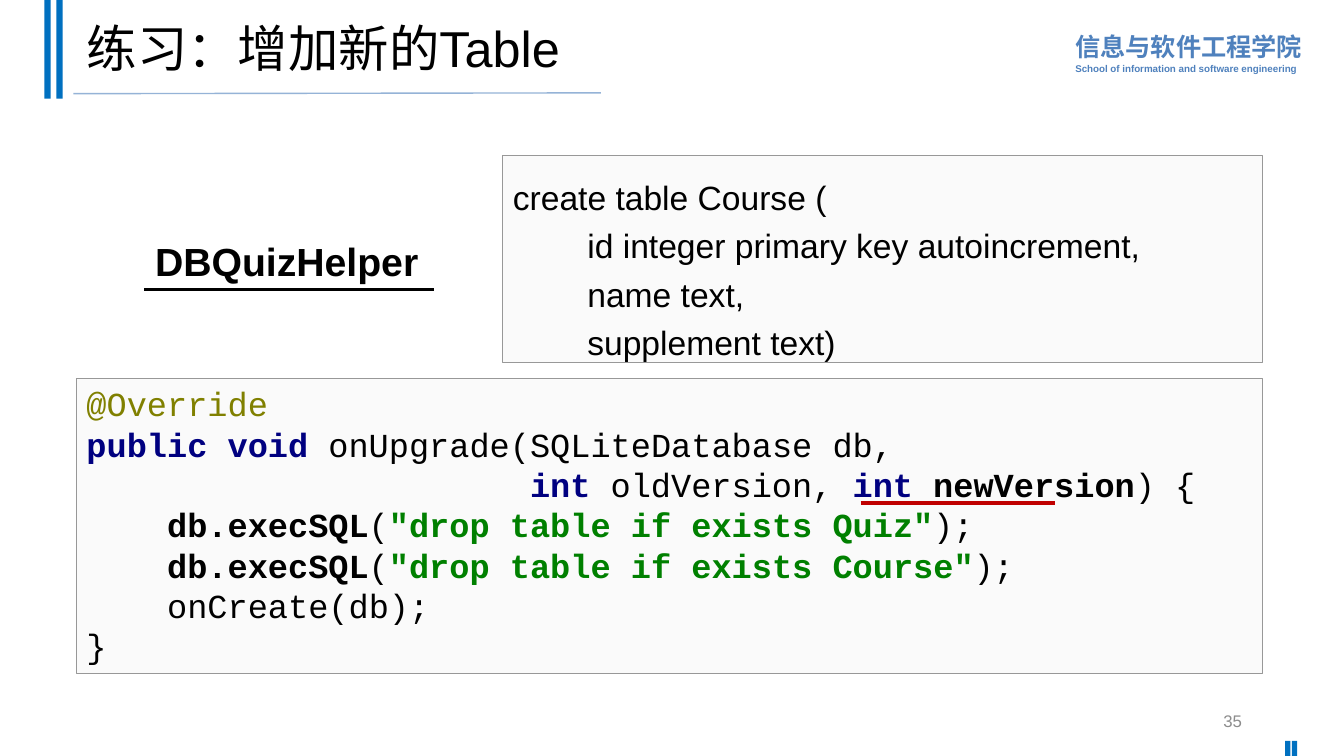
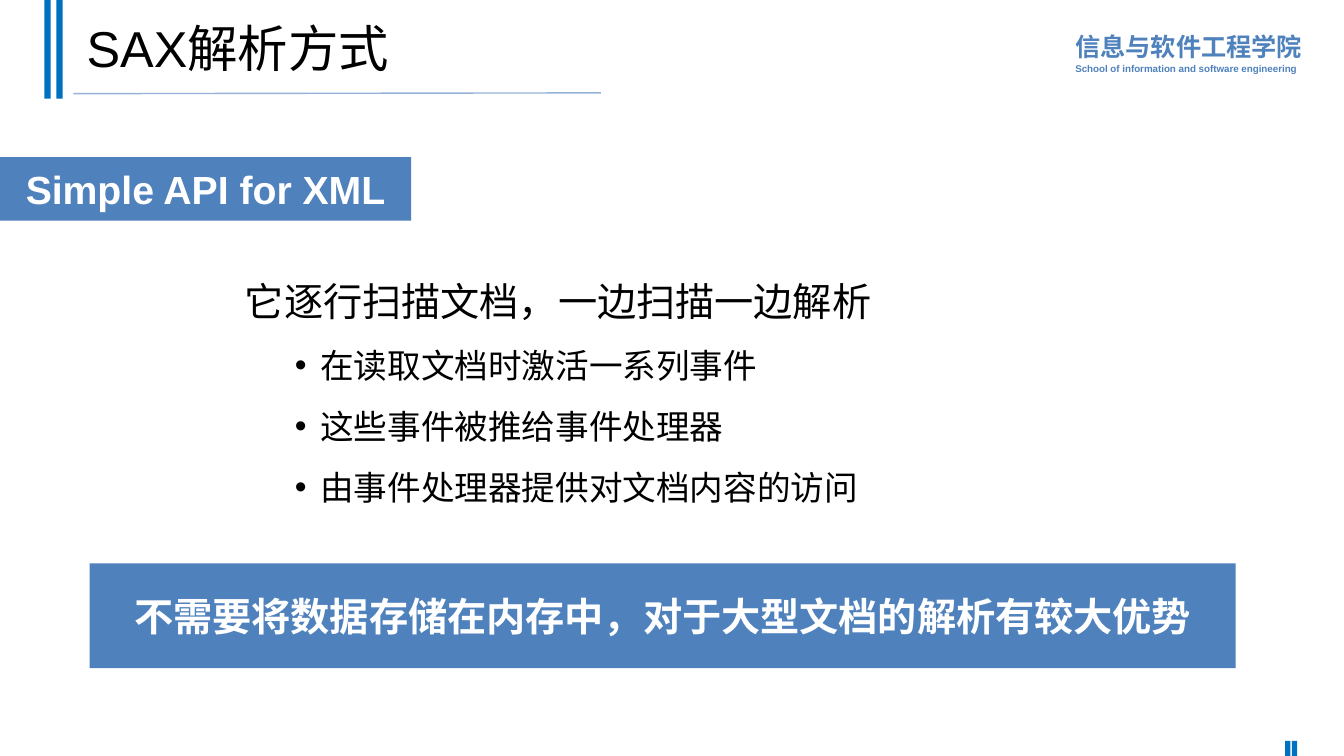
"""Build two lecture slides on database upgrades and SAX parsing."""
from typing import NamedTuple

from lxml.etree import SubElement
from pptx import Presentation
from pptx.dml.color import RGBColor as Rgb
from pptx.enum.shapes import MSO_CONNECTOR as Link, MSO_SHAPE as Form
from pptx.enum.text import MSO_ANCHOR as Anchor, MSO_AUTO_SIZE as Fit, PP_ALIGN as Align
from pptx.oxml.ns import qn
from pptx.util import Cm, Pt

BLUE, BAR, RULE = "4F81BD", "0070C0", "95B3D7"
PAPER, EDGE, GREY, RED = "FAFAFA", "989898", "8C8C8C", "C00000"
BLACK, WHITE = "000000", "FFFFFF"
OLIVE, NAVY, GREEN = "808000", "000080", "008000"


class Box(NamedTuple):
    """A place on the slide, in centimetres."""
    left: float
    top: float
    width: float
    height: float


class Style(NamedTuple):
    """The look of some text."""
    size: float
    color: str = BLACK
    bold: bool = False
    face: str = "Arial"
    align: Align = Align.LEFT
    lead: float = 1.0


class Part(NamedTuple):
    """A stretch of code in one colour and weight."""
    text: str
    color: str = BLACK
    bold: bool = False


BARS = [Box(1.12, 0, 0.16, 2.49), Box(1.42, 0, 0.16, 2.49),
        Box(32.39, 18.67, 0.13, 0.38), Box(32.56, 18.67, 0.13, 0.38)]
HEAD = Style(36, lead=0.9)
BAND = Style(28, WHITE, True, align=Align.CENTER)
TABLE = """create table Course (
        id integer primary key autoincrement,
        name text,
        supplement text)"""
INT = Part("int ", NAVY, True)


def drop(name: str) -> list[Part]:
    """Give the code line that drops a table."""
    return [Part("    "), Part("db.execSQL", bold=True), Part("("),
            Part(f'"drop table if exists {name}"', GREEN, True), Part(");")]


CODE = [
    [Part("@Override", OLIVE)],
    [Part("public void ", NAVY, True), Part("onUpgrade(SQLiteDatabase db,")],
    [Part(" " * 22), INT, Part("oldVersion, "), INT,
     Part("newVersion", bold=True), Part(") {")],
    drop("Quiz"),
    drop("Course"),
    [Part("    onCreate(db);")],
    [Part("}")],
]


def tint(code: str) -> Rgb:
    """Turn a hex string into a colour."""
    return Rgb.from_string(code)


def place(shape, box: Box) -> None:
    """Move and size a shape."""
    shape.left, shape.top, shape.width, shape.height = map(Cm, box)


def dress(para, style: Style) -> None:
    """Format a paragraph and its runs."""
    para.alignment, para.line_spacing = style.align, style.lead
    for run in para.runs:
        font = run.font
        font.name, font.size, font.bold = style.face, Pt(style.size), style.bold
        font.color.rgb = tint(style.color)


def write(shape, text: str, style: Style, anchor: Anchor = Anchor.TOP,
          wrap: bool = True) -> None:
    """Put one style of text into a shape."""
    frame = shape.text_frame
    frame.text = text
    frame.word_wrap, frame.auto_size = wrap, Fit.NONE
    frame.vertical_anchor = anchor
    for para in frame.paragraphs:
        dress(para, style)


def label(slide, box: Box, text: str, style: Style, anchor: Anchor = Anchor.TOP):
    """Add a text box."""
    shape = slide.shapes.add_textbox(*map(Cm, box))
    write(shape, text, style, anchor)
    return shape


def trim(shape, fill: str, edge: str = "") -> None:
    """Fill a shape and give it a thin edge or none."""
    shape.fill.solid()
    shape.fill.fore_color.rgb = tint(fill)
    if edge:
        shape.line.color.rgb = tint(edge)
        shape.line.width = Pt(0.75)
    else:
        shape.line.fill.background()


def block(slide, box: Box, fill: str, edge: str = ""):
    """Add a flat rectangle."""
    shape = slide.shapes.add_shape(Form.RECTANGLE, *map(Cm, box))
    shape.shadow.inherit = False
    trim(shape, fill, edge)
    return shape


def band(slide, box: Box, text: str) -> None:
    """Add a blue band with white text."""
    write(block(slide, box, BLUE), text, BAND, Anchor.MIDDLE, wrap=False)


def stroke(slide, start: tuple[float, float], end: tuple[float, float],
           color: str, width: float):
    """Add a straight line."""
    line = slide.shapes.add_connector(Link.STRAIGHT, *map(Cm, start + end))
    line.line.color.rgb, line.line.width = tint(color), Pt(width)
    SubElement(line.element.spPr, qn("a:effectLst"))
    return line


def bullet(para, mark: str = "") -> None:
    """Set or clear the bullet of a paragraph."""
    props = para._p.get_or_add_pPr()
    props.set("marL", str(Cm(1.9) if mark else 0))
    props.set("indent", str(-Cm(0.64) if mark else 0))
    if mark:
        SubElement(props, qn("a:buChar")).set("char", mark)
    else:
        SubElement(props, qn("a:buNone"))


def brand(slide, layout) -> None:
    """Put the shared bars, rule and school name on the layout."""
    school = label(slide, Box(26.85, 0.58, 6.22, 1.42),
                   "信息与软件工程学院\nSchool of information and software engineering",
                   Style(18, BLUE, True, lead=1.1))
    dress(school.text_frame.paragraphs[1], Style(7, BLUE, True, lead=1.1))
    shared = [school, *(block(slide, bar, BAR) for bar in BARS),
              stroke(slide, (1.85, 2.36), (15.14, 2.34), RULE, 1)]
    for shape in shared:
        layout.shapes.element.append(shape.element)


def start(deck, layout, title: str, box: Box):
    """Add a slide with its title and placed body."""
    slide = deck.slides.add_slide(layout)
    place(slide.shapes.title, Box(1.93, 0.18, 29.21, 2.24))
    write(slide.shapes.title, title, HEAD, Anchor.MIDDLE)
    body = slide.placeholders[1]
    place(body, box)
    body.text_frame.margin_top = Cm(0.34)
    return slide, body


def upgrade(deck, layout):
    """Build the slide on adding a table."""
    slide, body = start(deck, layout, "练习：增加新的Table", Box(12.67, 3.91, 19.15, 5.23))
    trim(body, PAPER, EDGE)
    write(body, TABLE.replace("\n", "\v"), Style(24, lead=1.2))
    para = body.text_frame.paragraphs[0]
    para.space_before = Pt(0)
    bullet(para)

    label(slide, Box(23.93, 17.65, 7.62, 1.02), "35",
          Style(12, GREY, align=Align.RIGHT), Anchor.MIDDLE)
    panel = block(slide, Box(1.93, 9.53, 29.9, 7.44), PAPER, EDGE)
    frame = panel.text_frame
    frame.word_wrap, frame.vertical_anchor = True, Anchor.TOP
    for row, parts in enumerate(CODE):
        para = frame.add_paragraph() if row else frame.paragraphs[0]
        for part in parts:
            para.add_run().text = part.text
        dress(para, Style(24, face="Courier New"))
        for run, part in zip(para.runs, parts):
            run.font.color.rgb, run.font.bold = tint(part.color), part.bold

    label(slide, Box(3.66, 5.49, 7.32, 2.13), "DBQuizHelper",
          Style(28, bold=True, lead=1.3))
    stroke(slide, (3.63, 7.29), (10.95, 7.29), BLACK, 2.5)
    stroke(slide, (21.69, 12.67), (26.59, 12.67), RED, 3)
    return slide


def parsing(deck, layout) -> None:
    """Build the slide on SAX."""
    slide, body = start(deck, layout, "SAX解析方式", Box(5.92, 6.3, 21.59, 7.14))
    write(body, "它逐行扫描文档，一边扫描一边解析\n在读取文档时激活一系列事件\n"
                "这些事件被推给事件处理器\n由事件处理器提供对文档内容的访问",
          Style(28, lead=1.3))
    first, *rest = body.text_frame.paragraphs
    first.space_before = Pt(0)
    bullet(first)
    for para in rest:
        para.level, para.space_before = 1, Pt(6)
        bullet(para, "•")
        dress(para, Style(24, lead=1.3))
    band(slide, Box(0, 3.96, 10.36, 1.6), "Simple API for XML")
    band(slide, Box(2.26, 14.2, 28.88, 2.64),
         "不需要将数据存储在内存中，对于大型文档的解析有较大优势")


def main() -> None:
    """Build and save the deck."""
    deck = Presentation()
    deck.slide_width, deck.slide_height = Cm(33.87), Cm(19.05)
    layout = deck.slide_layouts[1]
    brand(upgrade(deck, layout), layout)
    parsing(deck, layout)
    deck.save("out.pptx")


if __name__ == "__main__":
    main()
